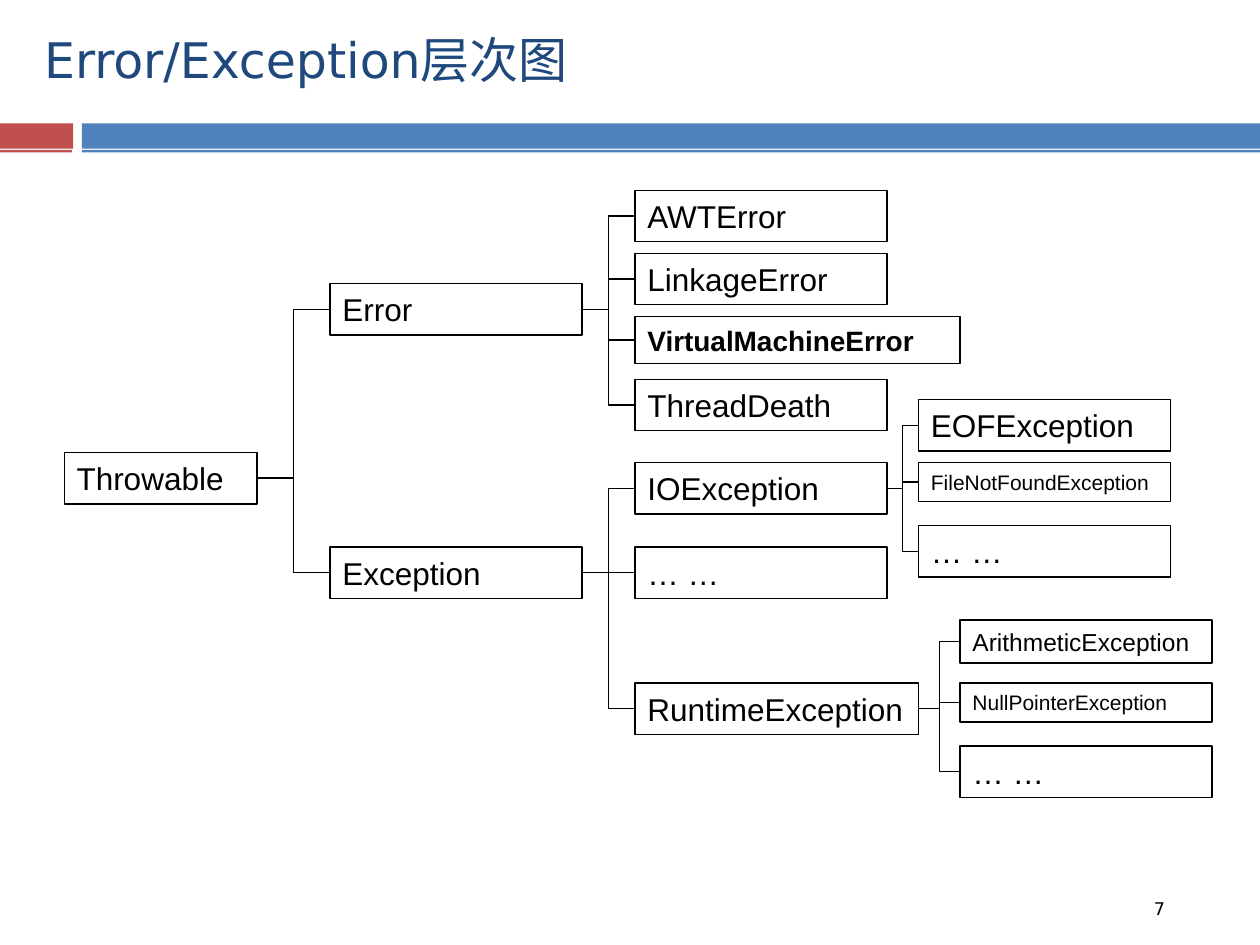
"""Build the Error/Exception class hierarchy slide."""
import dataclasses

import lxml.etree
import pptx
import pptx.dml.color
import pptx.enum.shapes
import pptx.enum.text
import pptx.oxml.ns
import pptx.util

Inches = pptx.util.Inches
Pt = pptx.util.Pt
MSO_SHAPE = pptx.enum.shapes.MSO_SHAPE
MSO_CONNECTOR = pptx.enum.shapes.MSO_CONNECTOR
MSO_ANCHOR = pptx.enum.text.MSO_ANCHOR
PP_ALIGN = pptx.enum.text.PP_ALIGN

BLACK, RED, BLUE, NAVY = "000000", "C0504D", "4F81BD", "1F497D"
LEFT_SITE, RIGHT_SITE = 1, 3


@dataclasses.dataclass
class Bar:
    left: float
    top: float
    width: float
    height: float
    color: str


@dataclasses.dataclass
class ClassBox:
    text: str
    left: float
    top: float
    width: float = 2
    size: int = 18
    bold: bool = False
    children: tuple["ClassBox", ...] = ()


BARS = [
    Bar(left, top, width, height, color)
    for top, height, red_left in ((0.98, 0.2, 0), (1.19, 0.02, -0.01))
    for left, width, color in ((red_left, 0.58, RED), (0.65, 9.35, BLUE))
]

ERRORS = (
    ClassBox("AWTError", 5.04, 1.51),
    ClassBox("LinkageError", 5.04, 2.01),
    ClassBox("VirtualMachineError", 5.04, 2.51, 2.58, 16, True),
    ClassBox("ThreadDeath", 5.04, 3.01),
)
IO_EXCEPTIONS = (
    ClassBox("EOFException", 7.29, 3.17),
    ClassBox("FileNotFoundException", 7.29, 3.67, size=12),
    ClassBox("… …", 7.29, 4.17),
)
RUNTIME_EXCEPTIONS = (
    ClassBox("ArithmeticException", 7.62, 4.92, size=14),
    ClassBox("NullPointerException", 7.62, 5.42, size=12),
    ClassBox("… …", 7.62, 5.92),
)
EXCEPTIONS = (
    ClassBox("IOException", 5.04, 3.67, children=IO_EXCEPTIONS),
    ClassBox("… …", 5.04, 4.34),
    ClassBox("RuntimeException", 5.04, 5.42, 2.25, children=RUNTIME_EXCEPTIONS),
)
THROWABLE = ClassBox("Throwable", 0.51, 3.59, 1.53, children=(
    ClassBox("Error", 2.62, 2.25, children=ERRORS),
    ClassBox("Exception", 2.62, 4.34, children=EXCEPTIONS),
))


def rgb(color: str) -> pptx.dml.color.RGBColor:
    """Turn a hex string into a colour."""
    return pptx.dml.color.RGBColor.from_string(color)


def write(shape, text: str, size: int, font_name: str, color: str,
          anchor: MSO_ANCHOR, bold: bool = False) -> None:
    """Put one left-aligned, formatted paragraph into a shape."""
    frame = shape.text_frame
    frame.text = text
    frame.word_wrap = True
    frame.vertical_anchor = anchor
    paragraph = frame.paragraphs[0]
    paragraph.alignment = PP_ALIGN.LEFT
    font = paragraph.runs[0].font
    font.size, font.name, font.bold = Pt(size), font_name, bold
    font.color.rgb = rgb(color)


def add_bar(slide, bar: Bar) -> None:
    """Draw one solid bar of the header band."""
    shape = slide.shapes.add_shape(
        MSO_SHAPE.RECTANGLE, Inches(bar.left), Inches(bar.top),
        Inches(bar.width), Inches(bar.height))
    shape.shadow.inherit = False
    shape.fill.solid()
    shape.fill.fore_color.rgb = rgb(bar.color)
    shape.line.fill.background()


def add_link(slide, parent, child) -> None:
    """Connect the right side of a parent to the left side of a child."""
    level = parent.top + parent.height // 2 == child.top + child.height // 2
    kind = MSO_CONNECTOR.STRAIGHT if level else MSO_CONNECTOR.ELBOW
    connector = slide.shapes.add_connector(kind, 0, 0, 0, 0)
    connector.begin_connect(parent, RIGHT_SITE)
    connector.end_connect(child, LEFT_SITE)
    connector.line.color.rgb = rgb(BLACK)
    connector.line.width = Pt(0.75)
    properties = connector._element.spPr
    lxml.etree.SubElement(properties, pptx.oxml.ns.qn("a:effectLst"))


def add_tree(slide, box: ClassBox):
    """Draw a class box with all its descendants and return its shape."""
    shape = slide.shapes.add_shape(
        MSO_SHAPE.RECTANGLE, Inches(box.left), Inches(box.top),
        Inches(box.width), Inches(0.11 + box.size / 60))
    shape.shadow.inherit = False
    shape.fill.background()
    shape.line.color.rgb = rgb(BLACK)
    shape.line.width = Pt(0.75)
    write(shape, box.text, box.size, "Arial", BLACK, MSO_ANCHOR.MIDDLE, box.bold)
    for child in box.children:
        add_link(slide, shape, add_tree(slide, child))
    return shape


def main() -> None:
    """Create and save the presentation."""
    presentation = pptx.Presentation()
    presentation.slide_width, presentation.slide_height = Inches(10), Inches(7.5)
    slide = presentation.slides.add_slide(presentation.slide_layouts[5])
    for bar in BARS:
        add_bar(slide, bar)
    title = slide.shapes.title
    title.left, title.top = Inches(0.25), Inches(0.16)
    title.width, title.height = Inches(9.5), Inches(0.62)
    write(title, "Error/Exception层次图", 28, "DejaVu Sans", NAVY, MSO_ANCHOR.MIDDLE)
    add_tree(slide, THROWABLE)
    page_number = slide.shapes.add_textbox(
        Inches(9.06), Inches(7.08), Inches(0.44), Inches(0.37))
    write(page_number, "7", 10, "DejaVu Sans", BLACK, MSO_ANCHOR.TOP)
    presentation.save("out.pptx")


main()
